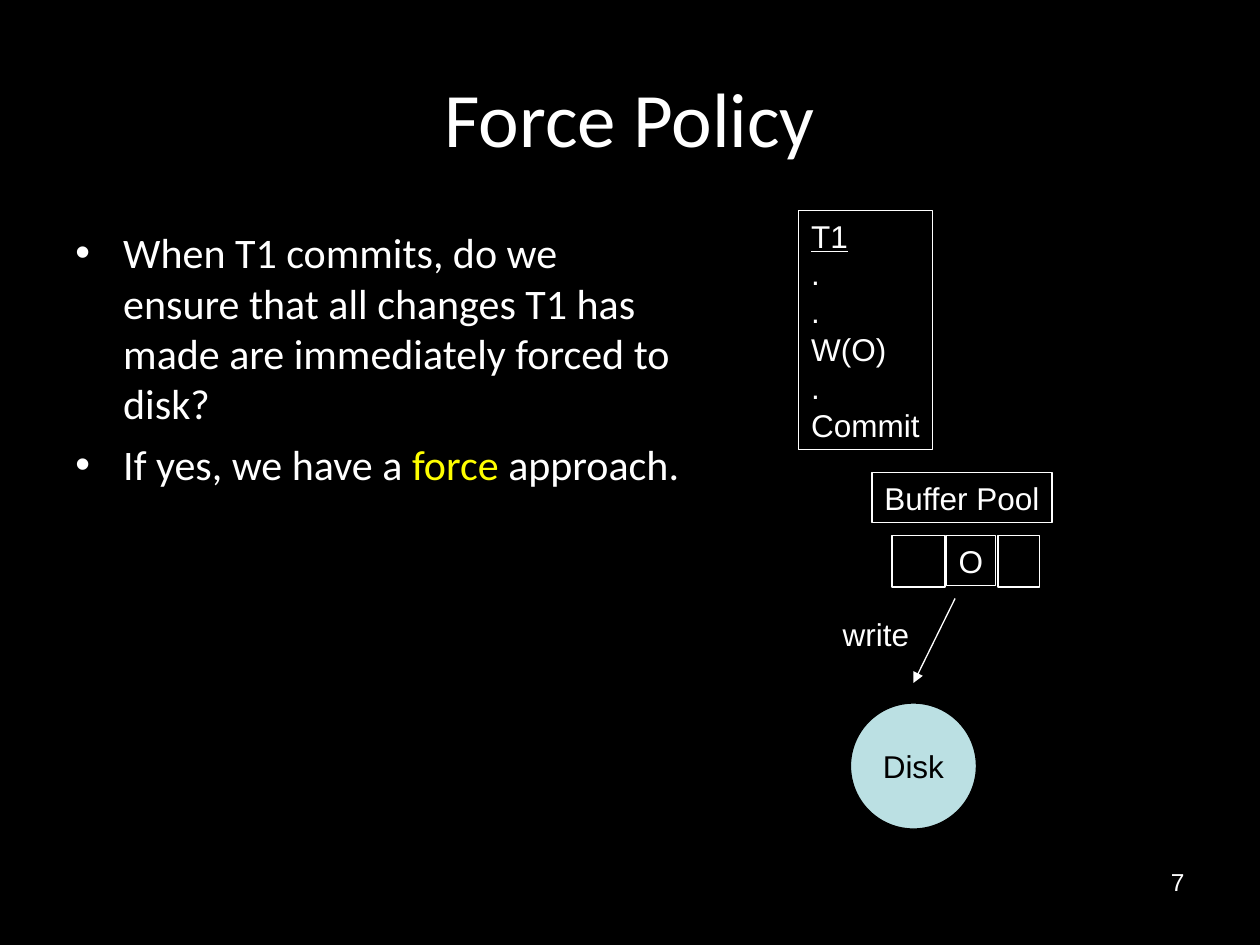
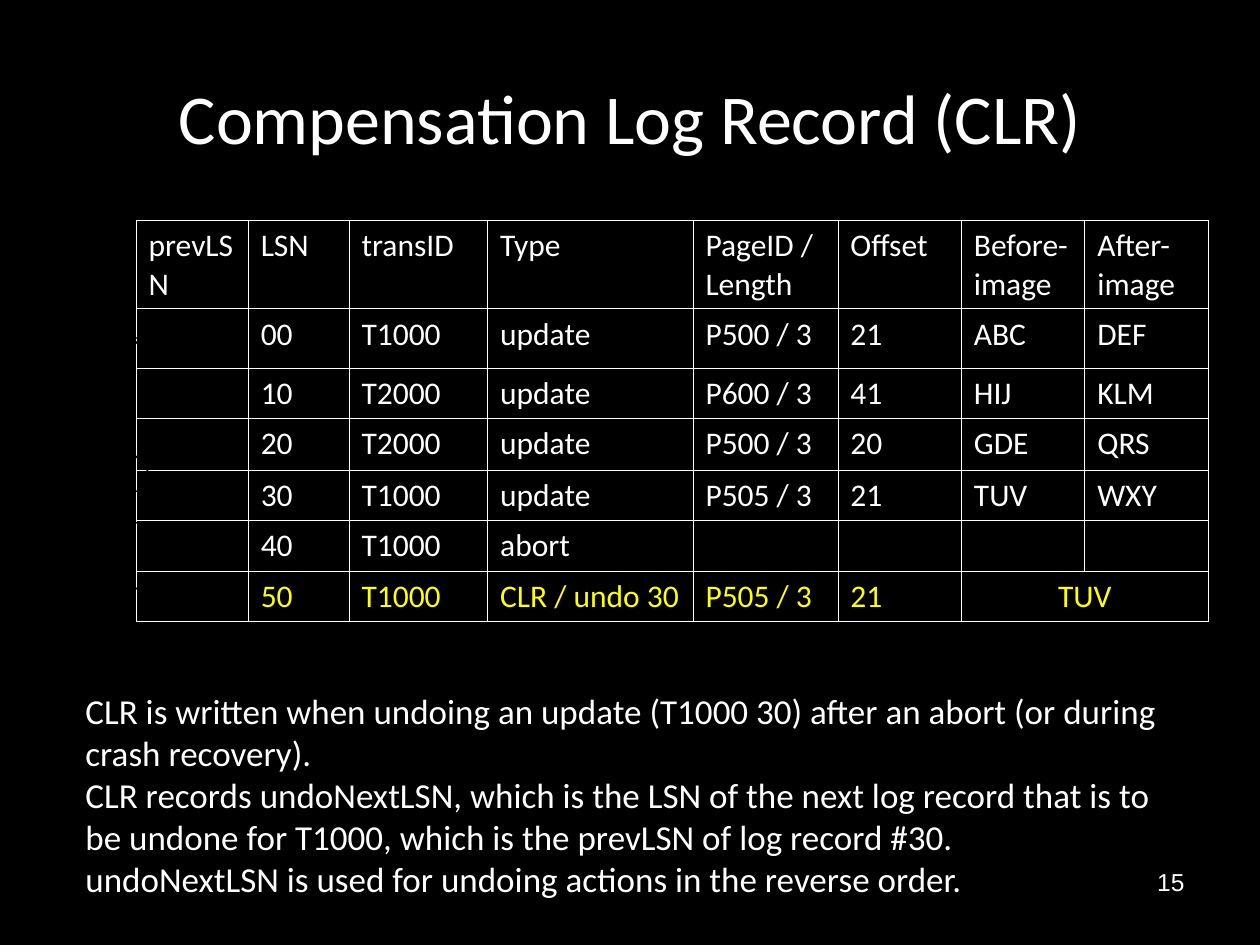
from lxml.etree import SubElement
from pptx import Presentation
from pptx.dml.color import RGBColor
from pptx.enum.shapes import MSO_CONNECTOR, MSO_SHAPE
from pptx.enum.text import MSO_ANCHOR as ANCHOR, MSO_AUTO_SIZE as AUTO_SIZE, PP_ALIGN as ALIGN
from pptx.oxml.ns import qn
from pptx.util import Inches, Pt

# Shared look
hex_color = RGBColor.from_string
BLACK, WHITE, YELLOW, DISK_BLUE = "000000", "FFFFFF", "FFFF00", "BBE0E3"
TITLE_FONT, LABEL_FONT = "Calibri", "Arial"


def write_text(frame, paragraphs, size=18, font=LABEL_FONT, color=WHITE, align=ALIGN.LEFT,
               anchor=ANCHOR.TOP, wrap=True, grow=False, bullets=False):
    """Each paragraph is a string or a list of (text, run format) pairs."""
    frame.word_wrap = wrap
    frame.vertical_anchor = anchor
    frame.auto_size = AUTO_SIZE.SHAPE_TO_FIT_TEXT if grow else AUTO_SIZE.NONE
    for index, content in enumerate(paragraphs):
        paragraph = frame.add_paragraph() if index else frame.paragraphs[0]
        paragraph.alignment = align
        if bullets:
            properties = paragraph._p.get_or_add_pPr()
            properties.set("marL", str(Inches(0.38)))
            properties.set("indent", str(-Inches(0.38)))
            SubElement(properties, qn("a:buFont"), typeface="Arial")
            SubElement(properties, qn("a:buChar"), char="•")
            if index:
                paragraph.space_before = Pt(6)
        runs = [(content, {})] if isinstance(content, str) else content
        for text, run_format in runs:
            run = paragraph.add_run()
            run.text = text
            run.font.name = font
            run.font.size = Pt(size)
            run.font.color.rgb = hex_color(run_format.get("color", color))
            if run_format.get("underline"):
                run.font.underline = True


def style_shape(shape, line=WHITE, fill=None, arrow=False):
    if fill:
        shape.fill.solid()
        shape.fill.fore_color.rgb = hex_color(fill)
    elif hasattr(shape, "fill"):
        shape.fill.background()
    shape.line.color.rgb = hex_color(line)
    shape.line.width = Pt(0.75)
    properties = shape._element.spPr
    if arrow:
        SubElement(properties.find(qn("a:ln")), qn("a:tailEnd"), type="triangle")
    SubElement(properties, qn("a:effectLst"))


presentation = Presentation()
presentation.slide_width, presentation.slide_height = Inches(10), Inches(7.5)

# Background, page number and title of each slide
slides = []
for title, title_size, number in [("Force Policy", 44, "7"),
                                  ("Compensation Log Record (CLR)", 40, "15")]:
    slide = presentation.slides.add_slide(presentation.slide_layouts[6])
    slide.background.fill.solid()
    slide.background.fill.fore_color.rgb = hex_color(BLACK)
    number_box = slide.shapes.add_textbox(Inches(7.17), Inches(6.83), Inches(2.33), Inches(0.52))
    write_text(number_box.text_frame, [number], size=14, align=ALIGN.RIGHT)
    title_box = slide.shapes.add_textbox(Inches(0.5), Inches(0.3), Inches(9), Inches(1.25))
    write_text(title_box.text_frame, [title], size=title_size, font=TITLE_FONT,
               align=ALIGN.CENTER, anchor=ANCHOR.MIDDLE)
    slides.append(slide)
force_slide, clr_slide = slides

# Force policy: bullets
body = force_slide.shapes.add_textbox(Inches(0.5), Inches(1.75), Inches(5), Inches(4.95))
write_text(body.text_frame, [
    "When T1 commits, do we ensure that all changes T1 has made are immediately forced to disk?",
    [("If yes, we have a ", {}), ("force", {"color": YELLOW}), (" approach.", {})],
], size=24, font=TITLE_FONT, bullets=True)

# Force policy: transaction, buffer pool and its pages
transaction = [[("T1", {"underline": True})], ".", ".", "W(O)", ".", "Commit"]
for left, top, width, height, lines in [
    (6.34, 1.67, 1.06, 1.9, transaction),
    (7.51, 4.25, 0.39, 0.4, ["O"]),
    (6.92, 3.75, 1.43, 0.4, ["Buffer Pool"]),
    (7.08, 4.25, 0.42, 0.41, []),
    (7.92, 4.25, 0.33, 0.41, []),
]:
    box = force_slide.shapes.add_shape(MSO_SHAPE.RECTANGLE, Inches(left), Inches(top),
                                       Inches(width), Inches(height))
    style_shape(box)
    if lines:
        write_text(box.text_frame, lines, wrap=False, grow=True)

# Force policy: write to disk
disk = force_slide.shapes.add_shape(MSO_SHAPE.OVAL, Inches(6.75), Inches(5.58),
                                    Inches(1), Inches(1))
style_shape(disk, line=BLACK, fill=DISK_BLUE)
write_text(disk.text_frame, ["Disk"], color=BLACK, align=ALIGN.CENTER,
           anchor=ANCHOR.MIDDLE, wrap=False)
write_arrow = force_slide.shapes.add_connector(MSO_CONNECTOR.STRAIGHT, Inches(7.58), Inches(4.75),
                                               Inches(7.25), Inches(5.42))
style_shape(write_arrow, arrow=True)
write_label = force_slide.shapes.add_textbox(Inches(6.59), Inches(4.83), Inches(0.73), Inches(0.4))
write_text(write_label.text_frame, ["write"], wrap=False, grow=True)

# CLR: explanation
explanation = clr_slide.shapes.add_textbox(Inches(0.58), Inches(5.42), Inches(8.83), Inches(1.77))
write_text(explanation.text_frame, [
    "CLR is written when undoing an update (T1000 30) after an abort (or during crash recovery).",
    "CLR records undoNextLSN, which is the LSN of the next log record that is to be undone "
    "for T1000, which is the prevLSN of log record #30.",
    "undoNextLSN is used for undoing actions in the reverse order.",
], size=20, font=TITLE_FONT, grow=True)

# CLR: log table
log_records = [
    ["prevLSN", "LSN", "transID", "Type", "PageID / Length", "Offset", "Before-image", "After-image"],
    ["", "00", "T1000", "update", "P500 / 3", "21", "ABC", "DEF"],
    ["", "10", "T2000", "update", "P600 / 3", "41", "HIJ", "KLM"],
    ["", "20", "T2000", "update", "P500 / 3", "20", "GDE", "QRS"],
    ["", "30", "T1000", "update", "P505 / 3", "21", "TUV", "WXY"],
    ["", "40", "T1000", "abort", "", "", "", ""],
    ["", "50", "T1000", "CLR / undo 30", "P505 / 3", "21", "TUV", ""],
]
column_widths = [0.89, 0.8, 1.1, 1.63, 1.15, 0.98, 0.98, 0.98]
row_heights = [0.7, 0.47, 0.4, 0.41, 0.4, 0.4, 0.4]
clr_row = len(log_records) - 1
table = clr_slide.shapes.add_table(len(row_heights), len(column_widths), Inches(1.08), Inches(1.75),
                                   Inches(8.5), Inches(3.19)).table
table.first_row = table.horz_banding = False
for column, width in zip(table.columns, column_widths):
    column.width = Inches(width)
for row, height in zip(table.rows, row_heights):
    row.height = Inches(height)
for row_index, record in enumerate(log_records):
    for column_index, value in enumerate(record):
        cell = table.cell(row_index, column_index)
        cell_properties = cell._tc.get_or_add_tcPr()
        for side in ("a:lnL", "a:lnR", "a:lnT", "a:lnB"):
            border = SubElement(cell_properties, qn(side), w=str(Pt(0.45)))
            border_fill = SubElement(border, qn("a:solidFill"))
            SubElement(border_fill, qn("a:srgbClr"), val=WHITE)
        cell.fill.background()
        if value:
            in_merged_cell = row_index == clr_row and column_index == 6
            write_text(cell.text_frame, [value], font=TITLE_FONT,
                       color=YELLOW if row_index == clr_row else WHITE,
                       align=ALIGN.CENTER if in_merged_cell else ALIGN.LEFT)
table.cell(clr_row, 6).merge(table.cell(clr_row, 7))

# CLR: curved arrows back to the previous log record
STEPS = 12
for end_x, bend_x, start_y, bend_y, end_y in [
    (1.42, 0.83, 4.25, 4, 3.83),
    (1.25, 0.83, 3.83, 3.08, 2.58),
    (1.17, 0.25, 4.75, 3.5, 2.67),
]:
    points = []
    for step in range(-STEPS, STEPS + 1):
        distance = abs(step) / STEPS
        reach = 1 - distance
        far_y = start_y if step < 0 else end_y
        points.append((Inches(end_x + (bend_x - end_x) * (1.5 * reach - 0.5 * reach ** 3)),
                       Inches(bend_y + (far_y - bend_y) * distance)))
    builder = clr_slide.shapes.build_freeform(*points[0])
    builder.add_line_segments(points[1:], close=False)
    style_shape(builder.convert_to_shape(), line=BLACK, arrow=True)

presentation.save("out.pptx")
